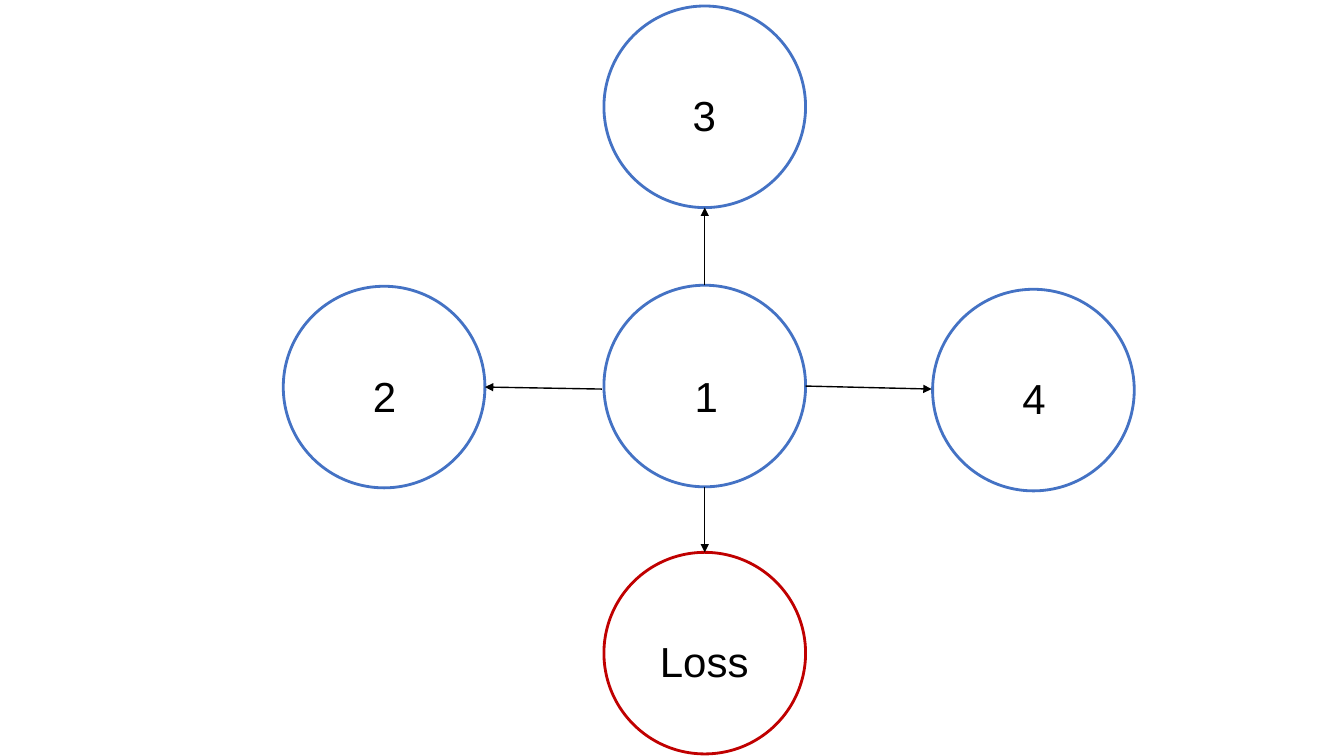
from pptx import Presentation
from pptx.dml.color import RGBColor
from pptx.enum.shapes import MSO_CONNECTOR as Link, MSO_SHAPE as Kind
from pptx.enum.text import MSO_AUTO_SIZE as Fit, PP_ALIGN as Align
from pptx.oxml.ns import qn
from pptx.util import Inches, Pt
from lxml.etree import SubElement

BLUE, RED, BLACK = "4472C4", "C00000", "000000"
SIZE = 2
LABEL_W, LABEL_H = 1.45, 0.61
NODES = [
    ("1", 5.99, 2.83, 0.29, 0.8, BLUE),
    ("4", 9.25, 2.87, 0.28, 0.78, BLUE),
    ("2", 2.81, 2.84, 0.28, 0.79, BLUE),
    ("3", 5.99, 0.06, 0.27, 0.78, BLUE),
    ("Loss", 5.99, 5.48, 0.27, 0.78, RED),
]
ARROWS = [
    (7.99, 3.83, 9.24, 3.86),
    (5.97, 3.86, 4.81, 3.84),
    (6.99, 4.83, 6.99, 5.48),
    (6.99, 2.83, 6.99, 2.06),
]


def color(code):
    return RGBColor.from_string(code)


def add_text(slide, text, box, size=30, font="Arial", ink=BLACK, align=Align.CENTER):
    frame = slide.shapes.add_textbox(*map(Inches, box)).text_frame
    frame.word_wrap = True
    frame.auto_size = Fit.SHAPE_TO_FIT_TEXT
    par = frame.paragraphs[0]
    par.alignment = align
    run = par.add_run()
    run.text = text
    run.font.size = Pt(size)
    run.font.name = font
    run.font.color.rgb = color(ink)


def add_node(slide, text, left, top, dx, dy, edge):
    ring = slide.shapes.add_shape(Kind.OVAL, *map(Inches, (left, top, SIZE, SIZE)))
    ring.shadow.inherit = False
    ring.fill.background()
    ring.line.color.rgb = color(edge)
    ring.line.width = Pt(2)
    add_text(slide, text, (left + dx, top + dy, LABEL_W, LABEL_H))


def add_arrow(slide, ends):
    arrow = slide.shapes.add_connector(Link.STRAIGHT, *map(Inches, ends))
    arrow.line.color.rgb = color(BLACK)
    arrow.line.width = Pt(1)
    SubElement(arrow.line._get_or_add_ln(), qn("a:tailEnd"), type="triangle")
    SubElement(arrow._element.spPr, qn("a:effectLst"))


def main():
    deck = Presentation()
    deck.slide_width, deck.slide_height = Inches(13.33), Inches(7.5)
    slide = deck.slides.add_slide(deck.slide_layouts[6])
    for node in NODES:
        add_node(slide, *node)
    for ends in ARROWS:
        add_arrow(slide, ends)
    deck.save("out.pptx")


if __name__ == "__main__":
    main()
